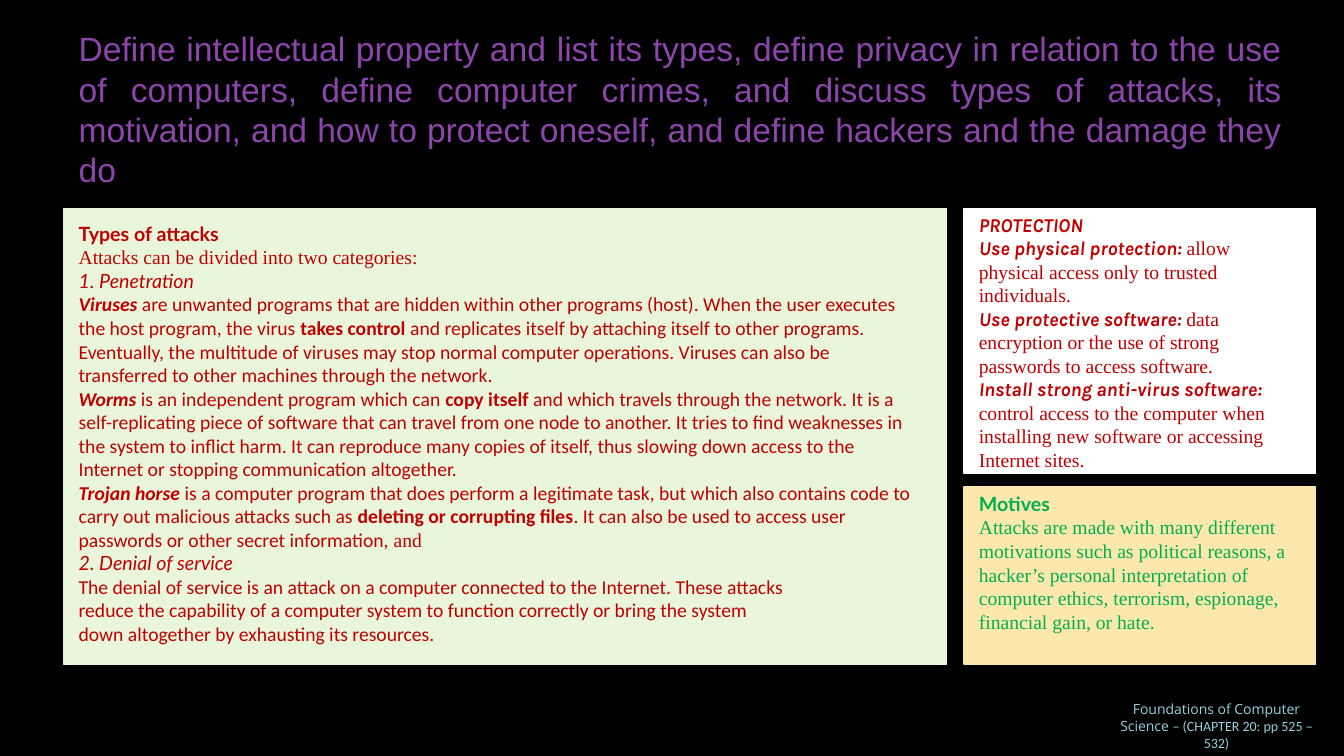
import pptx
import pptx.dml.color
import pptx.enum.shapes
import pptx.enum.text
import pptx.util
import lxml.etree

EMU_PER_PX = 9144  # 100 px to the inch
RED, GREEN, PURPLE, AQUA = "C00000", "00B050", "8E44AD", "91D4DD"
SERIF = "Times New Roman"

TITLE = ("Define intellectual property and list its types, define privacy in relation "
         "to the use of computers, define computer crimes, and discuss types of attacks, "
         "its motivation, and how to protect oneself, and define hackers and the damage "
         "they do")

# Each paragraph is a list of spans: text, font, style ("b" bold, "i" italic)
ATTACKS = [
    [("Types of attacks", "Lato", "b")],
    [("Attacks can be divided into two categories:", SERIF, "")],
    [("1. Penetration", "Lato", "i")],
    [("Viruses ", "Calibri", "bi"),
     ("are unwanted programs that are hidden within other programs (host). When the "
      "user executes the host program, the virus ", "Calibri", ""),
     ("takes control ", "Calibri", "b"),
     ("and replicates itself by attaching itself to other programs. Eventually, the "
      "multitude of viruses may stop normal computer operations. Viruses can also be "
      "transferred to other machines through the network.", "Calibri", "")],
    [("Worms ", "Calibri", "bi"),
     ("is an independent program which can ", "Calibri", ""),
     ("copy itself ", "Calibri", "b"),
     ("and which travels through the network. It is a self-replicating piece of software "
      "that can travel from one node to another. It tries to find weaknesses in the "
      "system to inflict harm. It can reproduce many copies of itself, thus slowing down "
      "access to the Internet or stopping communication altogether.", "Calibri", "")],
    [("Trojan horse ", "Calibri", "bi"),
     ("is a computer program that does perform a legitimate task, but which also contains "
      "code to carry out malicious attacks such as ", "Calibri", ""),
     ("deleting or corrupting files", "Calibri", "b"),
     (". It can also be used to access user passwords or other secret information, ",
      "Calibri", ""),
     ("and", SERIF, "")],
    [("2. Denial of service", "Lato", "i")],
    [("The denial of service is an attack on a computer connected to the Internet. "
      "These attacks", "Calibri", "")],
    [("reduce the capability of a computer system to function correctly or bring the "
      "system", "Calibri", "")],
    [("down altogether by exhausting its resources.", "Calibri", "")],
]
PROTECTION = [
    [("PROTECTION", "Karla", "bi")],
    [("Use physical protection: ", "Karla", "bi"),
     ("allow physical access only to trusted individuals.", SERIF, "")],
    [("Use protective software: ", "Karla", "bi"),
     ("data encryption or the use of strong passwords to access software.", SERIF, "")],
    [("Install strong anti-virus software: ", "Karla", "bi"),
     ("control access to the computer when installing new software or accessing "
      "Internet sites.", SERIF, "")],
]
MOTIVES = [
    [("Motives", "Lato", "b")],
    [("Attacks are made with many different motivations such as political reasons, a "
      "hacker’s personal interpretation of computer ethics, terrorism, espionage, "
      "financial gain, or hate.", SERIF, "")],
]
FOOTER = [[("Foundations of Computer Science ", "Open Sans", ""),
           ("– (CHAPTER 20: pp 525 – 532)", "Calibri", "")]]


def px(length):
    return pptx.util.Emu(length * EMU_PER_PX)


def color(value):
    return pptx.dml.color.RGBColor.from_string(value)


def place(box, left, top, width, height):
    box.left, box.top, box.width, box.height = map(px, (left, top, width, height))


def add_panel(page, left, top, width, height, fill):
    panel = page.shapes.add_shape(pptx.enum.shapes.MSO_SHAPE.RECTANGLE,
                                  px(left), px(top), px(width), px(height))
    panel.shadow.inherit = False
    panel.fill.solid()
    panel.fill.fore_color.rgb = color(fill)
    panel.line.color.rgb = color(fill)
    panel.line.width = pptx.util.Pt(1)


def write(box, paragraphs, size, ink, align=pptx.enum.text.PP_ALIGN.LEFT):
    frame = box.text_frame
    frame.word_wrap = True
    frame.auto_size = pptx.enum.text.MSO_AUTO_SIZE.NONE
    frame.vertical_anchor = pptx.enum.text.MSO_ANCHOR.TOP
    for index, spans in enumerate(paragraphs):
        para = frame.add_paragraph() if index else frame.paragraphs[0]
        para.alignment = align
        para.space_before = pptx.util.Pt(0)
        for text, font, style in spans:
            span = para.add_run()
            span.text = text
            span.font.name = font
            span.font.size = pptx.util.Pt(size)
            span.font.color.rgb = color(ink)
            span.font.bold = "b" in style
            span.font.italic = "i" in style


def remove_bullets(box):
    for para in box.text_frame.paragraphs:
        properties = para._p.get_or_add_pPr()
        properties.set("marL", "0")
        properties.set("indent", "0")
        lxml.etree.SubElement(properties, pptx.oxml.ns.qn("a:buNone"))


def add_text(page, left, top, width, height, *content):
    box = page.shapes.add_textbox(px(left), px(top), px(width), px(height))
    write(box, *content)


def main():
    deck = pptx.Presentation()
    deck.slide_width, deck.slide_height = px(1333), px(750)
    page = deck.slides.add_slide(deck.slide_layouts[1])
    page.background.fill.solid()
    page.background.fill.fore_color.rgb = color("000000")

    # Title
    title = page.shapes.title
    place(title, 68, 23, 1213, 172)
    write(title, [[(TITLE, "Arial", "")]], 24, PURPLE, pptx.enum.text.PP_ALIGN.JUSTIFY)

    # Coloured panels
    add_panel(page, 63, 207, 876, 452, "E9F6DC")
    add_panel(page, 956, 483, 349, 176, "FCE7AD")
    add_panel(page, 956, 207, 349, 263, "FFFFFF")

    # Types of attacks, brought in front of its panel
    attacks = page.placeholders[1]
    place(attacks, 68, 215, 858, 434)
    write(attacks, ATTACKS, 14, RED)
    remove_bullets(attacks)
    attacks.element.getparent().append(attacks.element)

    # Side texts and footer
    add_text(page, 961, 206, 337, 269, PROTECTION, 14, RED)
    add_text(page, 961, 483, 335, 175, MOTIVES, 14, GREEN)
    add_text(page, 1092, 690, 229, 44, FOOTER, 10, AQUA, pptx.enum.text.PP_ALIGN.CENTER)

    deck.save("out.pptx")


if __name__ == "__main__":
    main()
